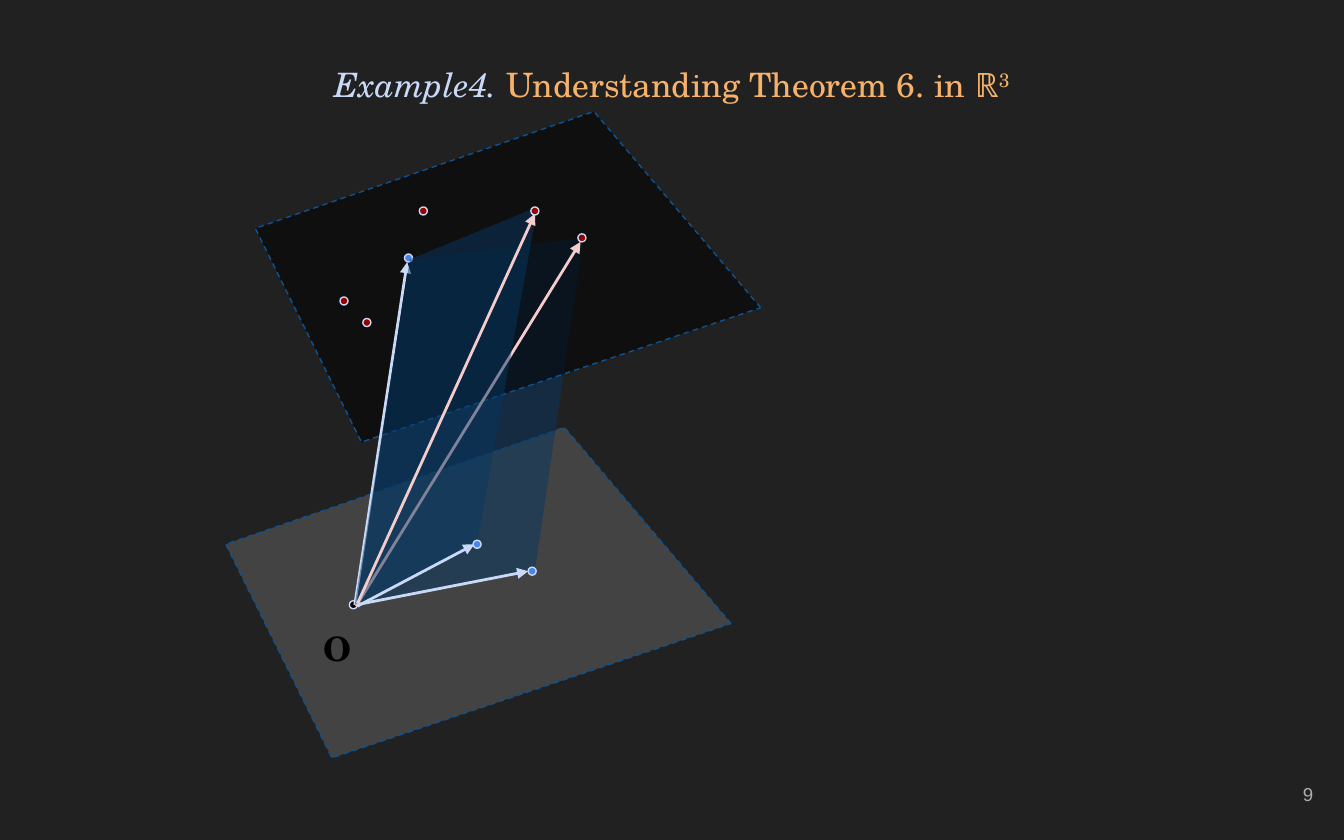
from dataclasses import dataclass

from lxml.etree import SubElement
from pptx import Presentation
from pptx.dml.color import RGBColor
from pptx.enum.dml import MSO_LINE
from pptx.enum.shapes import MSO_CONNECTOR, MSO_SHAPE
from pptx.enum.text import MSO_ANCHOR as ANCHOR, MSO_AUTO_SIZE, PP_ALIGN as ALIGN
from pptx.oxml.ns import qn
from pptx.util import Inches, Pt

COLS, ROWS = 100, 62.5
CELL = Inches(0.1)


@dataclass(frozen=True)
class Theme:
    background: str = "212121"
    floor: str = "434343"
    black: str = "000000"
    edge: str = "0B5394"
    sheet: str = "073763"
    pale: str = "C9DAF8"
    blue: str = "4A86E8"
    red: str = "980000"
    pink: str = "F4CCCC"
    orange: str = "F6B26B"
    gray: str = "ADADAD"
    serif: str = "TeX Gyre Schola"
    sans: str = "Arial"
    body_size: float = 18
    number_size: float = 10
    thin: float = 0.75
    thick: float = 1.5


T = Theme()
ORIGIN = (26.3, 45)
DOT = 0.6
FLOOR = [(54.4, 46.4), (42, 31.8), (16.8, 40.5), (24.7, 56.4)]
LIFT = (2.2, -23.5)


def grid(*cells):
    return [round(c * CELL) for c in cells]


def rgb(color):
    return RGBColor.from_string(color)


def set_all(obj, values):
    for name, value in values.items():
        setattr(obj, name, value)


def paint(sp, fill, alpha=None, line=None, dash=None):
    """Fill and outline a shape; alpha is its opacity in percent."""
    sp.shadow.inherit = False
    sp.fill.solid()
    sp.fill.fore_color.rgb = rgb(fill)
    if alpha:
        color = sp.fill._xPr.find(".//" + qn("a:srgbClr"))
        SubElement(color, qn("a:alpha")).set("val", str(alpha * 1000))
    if line is None:
        sp.line.fill.background()
        return
    sp.line.color.rgb = rgb(line)
    set_all(sp.line, {"width": Pt(T.thin), "dash_style": dash})


def polygon(s, corners, **look):
    start, *rest = [grid(*c) for c in corners]
    builder = s.shapes.build_freeform(*start, scale=1.0)
    builder.add_line_segments(rest, close=True)
    paint(builder.convert_to_shape(), **look)


def plane(s, shift=(0, 0), **look):
    corners = [(x + shift[0], y + shift[1]) for x, y in FLOOR]
    polygon(s, corners, line=T.edge, dash=MSO_LINE.DASH, **look)


def sheet(s, *corners):
    polygon(s, corners, fill=T.sheet, alpha=49)


def dot(s, center, color):
    x, y = center
    box = grid(x - DOT / 2, y - DOT / 2, DOT, DOT)
    paint(s.shapes.add_shape(MSO_SHAPE.OVAL, *box), color, line=T.pale)


def arrow(s, start, end, color):
    sp = s.shapes.add_connector(MSO_CONNECTOR.STRAIGHT, *grid(*start, *end))
    sp.line.color.rgb = rgb(color)
    sp.line.width = Pt(T.thick)
    SubElement(sp.line._get_or_add_ln(), qn("a:tailEnd")).set("type", "triangle")
    SubElement(sp._element.spPr, qn("a:effectLst"))


def write(sp, box, runs, align, anchor=ANCHOR.TOP, spacing=1.15, after=16):
    """Place a text shape and fill its one paragraph with (text, font) runs."""
    set_all(sp, dict(zip(("left", "top", "width", "height"), grid(*box))))
    tf = sp.text_frame
    margins = {f"margin_{side}": CELL for side in ("left", "top", "right", "bottom")}
    set_all(tf, {"word_wrap": True, "auto_size": MSO_AUTO_SIZE.NONE,
                 "vertical_anchor": anchor, **margins})
    p = tf.paragraphs[0]
    set_all(p, {"alignment": align, "line_spacing": spacing,
                "space_before": Pt(0), "space_after": Pt(after)})
    for text, font in runs:
        r = p.add_run()
        r.text = text
        look = {"name": T.serif, "size": Pt(T.body_size), **font}
        r.font.color.rgb = rgb(look.pop("color"))
        if "baseline" in look:
            r._r.get_or_add_rPr().set("baseline", str(look.pop("baseline") * 1000))
        set_all(r.font, look)


def text_box(s, box, *args, **kwargs):
    write(s.shapes.add_textbox(*grid(*box)), box, *args, **kwargs)


def draw_vectors(s):
    top, near, far = (30.4, 19.2), (35.5, 40.5), (39.6, 42.5)
    near_sum, far_sum = (39.8, 15.7), (43.3, 17.7)

    plane(s, fill=T.floor)
    dot(s, ORIGIN, T.black)
    text_box(s, (23.1, 45.3, 3.9, 4.8),
             [("O", {"color": T.black, "bold": True})], ALIGN.JUSTIFY)

    sheet(s, (30.4, 19.3), (26.5, 45), (39.8, 42.5), (43.4, 17.7))
    arrow(s, (26.5, 45), (39.3, 42.5), T.pale)
    dot(s, far, T.blue)
    plane(s, LIFT, fill=T.black, alpha=53)
    dot(s, far_sum, T.red)
    arrow(s, (26.5, 45.1), (43.2, 18), T.pink)
    arrow(s, (26.4, 45), (30.3, 19.5), T.pale)
    dot(s, top, T.blue)

    sheet(s, (26.4, 45), (35.5, 40.4), (40, 15.4), (30.5, 19.3))
    arrow(s, (26.6, 45.1), (35.3, 40.5), T.pale)
    dot(s, near, T.blue)
    arrow(s, (26.6, 44.9), (39.8, 15.9), T.pink)
    for center in (near_sum, (31.5, 15.7), (25.6, 22.4), (27.3, 24)):
        dot(s, center, T.red)


def main():
    prs = Presentation()
    set_all(prs, dict(zip(("slide_width", "slide_height"), grid(COLS, ROWS))))
    s = prs.slides.add_slide(prs.slide_layouts[5])
    s.background.fill.solid()
    s.background.fill.fore_color.rgb = rgb(T.background)

    text_box(s, (92.7, 56.7, 6, 4.8),
             [("9", {"name": T.sans, "size": Pt(T.number_size), "color": T.gray})],
             ALIGN.RIGHT, anchor=ANCHOR.MIDDLE, spacing=1, after=0)
    write(s.shapes.title, (3.4, 3.3, COLS - 2 * 3.4, 4.8),
          [("Example4. ", {"color": T.pale, "italic": True}),
           ("Understanding Theorem 6. in ℝ", {"color": T.orange}),
           ("3", {"color": T.orange, "baseline": 30})], ALIGN.CENTER)
    draw_vectors(s)
    prs.save("out.pptx")


if __name__ == "__main__":
    main()
